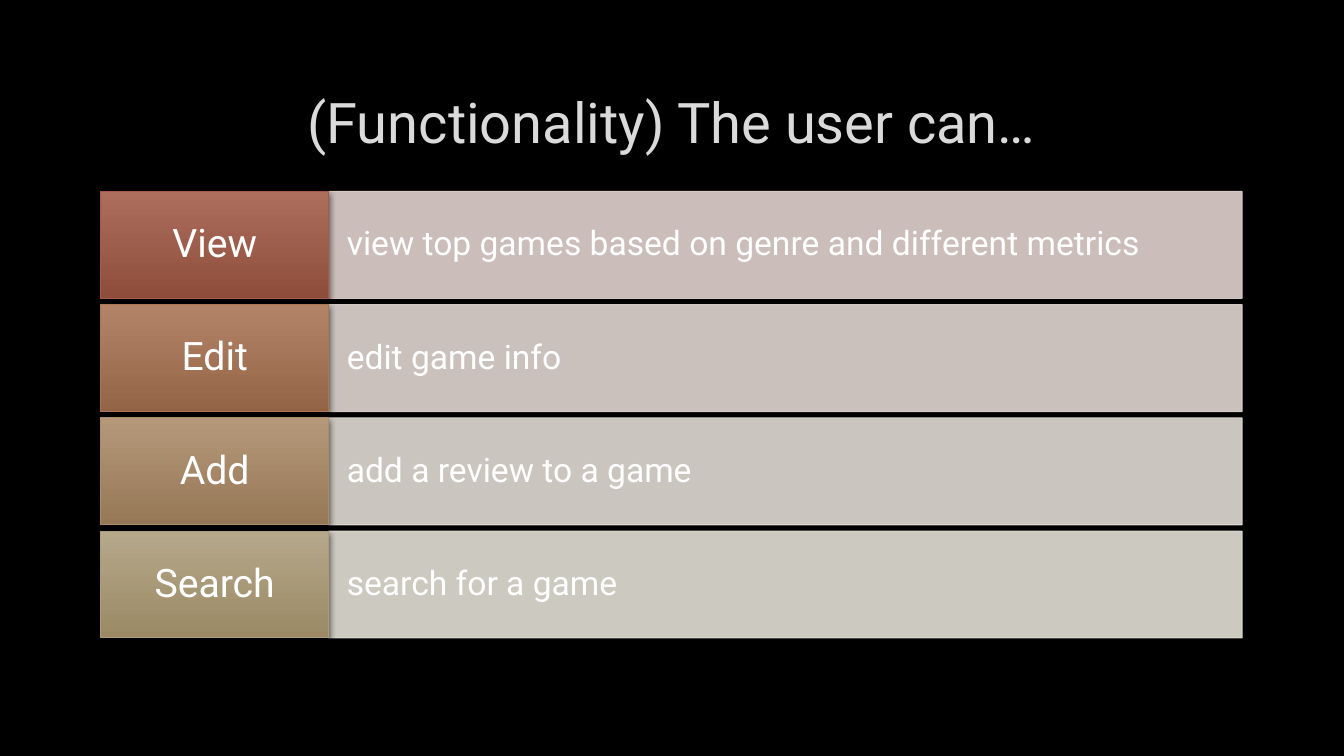
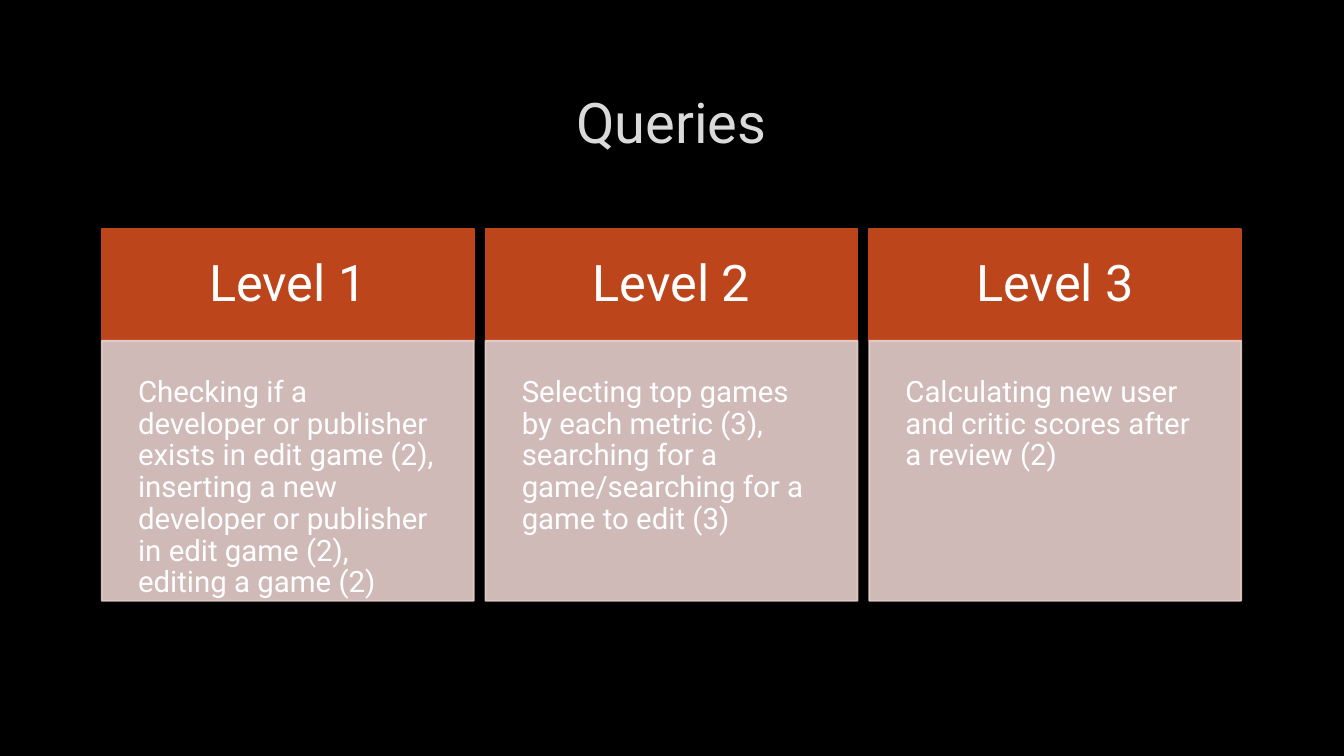
from pptx import Presentation
from pptx.dml.color import RGBColor
from pptx.enum.shapes import MSO_SHAPE
from pptx.enum.text import MSO_ANCHOR, PP_ALIGN
from pptx.oxml import parse_xml
from pptx.oxml.ns import nsdecls, qn
from pptx.util import Inches, Pt

BLACK = RGBColor(0x00, 0x00, 0x00)
WHITE = RGBColor(0xFF, 0xFF, 0xFF)
SILVER = RGBColor(0xDA, 0xDA, 0xDA)
RUST = RGBColor(0xBC, 0x45, 0x1B)
ROSE = RGBColor(0xE7, 0xCF, 0xCD)
FACE = "Roboto"

# label, text, band colour, gradient top, gradient bottom, label edge
ROWS = [
    ("View", "view top games based on genre and different metrics",
     RGBColor(0xE1, 0xD2, 0xCF), RGBColor(0xAD, 0x6E, 0x5E),
     RGBColor(0x8E, 0x4D, 0x3A), RGBColor(0xA5, 0x5A, 0x43)),
    ("Edit", "edit game info",
     RGBColor(0xE1, 0xD7, 0xD2), RGBColor(0xB4, 0x84, 0x69),
     RGBColor(0x94, 0x64, 0x46), RGBColor(0xAC, 0x74, 0x51)),
    ("Add", "add a review to a game",
     RGBColor(0xE2, 0xDB, 0xD4), RGBColor(0xB5, 0x98, 0x7A),
     RGBColor(0x96, 0x78, 0x56), RGBColor(0xAC, 0x8C, 0x66)),
    ("Search", "search for a game",
     RGBColor(0xE3, 0xDF, 0xD7), RGBColor(0xB6, 0xA8, 0x8B),
     RGBColor(0x9A, 0x89, 0x64), RGBColor(0xAD, 0x9D, 0x7B)),
]
LEVELS = [
    ("Level 1", "Checking if a developer or publisher exists in edit game (2), "
     "inserting a new developer or publisher in edit game (2), "
     "editing a game (2)"),
    ("Level 2", "Selecting top games by each metric (3), "
     "searching for a game/searching for a game to edit (3)"),
    ("Level 3", "Calculating new user and critic scores after a review (2)"),
]


def put(item, values):
    """Set each attribute named in values."""
    for name, value in values.items():
        setattr(item, name, value)


def steps(first, last, count):
    """Spread count starting points evenly from first to last."""
    return [first + (last - first) * i / (count - 1) for i in range(count)]


def set_base(deck):
    """Set the shared background and title place; return the layout."""
    fill = deck.slide_master.background.fill
    fill.solid()
    fill.fore_color.rgb = BLACK
    layout = deck.slide_layouts.get_by_name("Title Only")
    title = layout.placeholders[0]
    put(title, {"left": Inches(1), "top": Inches(0.67),
                "width": Inches(11.32), "height": Inches(1.06)})
    title.text_frame.vertical_anchor = MSO_ANCHOR.MIDDLE
    return layout


def add_page(deck, layout, text):
    slide = deck.slides.add_slide(layout)
    slide.shapes.title.text = text
    para = slide.shapes.title.text_frame.paragraphs[0]
    para.alignment = PP_ALIGN.CENTER
    put(para.font, {"name": FACE, "size": Pt(40)})
    para.font.color.rgb = SILVER
    return slide


def add_box(slide, place, color, edge):
    box = slide.shapes.add_shape(MSO_SHAPE.RECTANGLE, *map(Inches, place))
    box.shadow.inherit = False
    box.fill.solid()
    box.fill.fore_color.rgb = color
    box.line.color.rgb = color
    box.line.width = Pt(edge)
    return box


def write(box, text, size, sides, ends, align=PP_ALIGN.CENTER,
          anchor=MSO_ANCHOR.MIDDLE):
    frame = box.text_frame
    put(frame, {"word_wrap": True, "vertical_anchor": anchor,
                "margin_left": Inches(sides), "margin_right": Inches(sides),
                "margin_top": Inches(ends), "margin_bottom": Inches(ends)})
    para = frame.paragraphs[0]
    para.text = text
    put(para, {"alignment": align, "line_spacing": 0.9})
    put(para.font, {"name": FACE, "size": Pt(size)})
    para.font.color.rgb = WHITE


def fade(box):
    """Make fill and line 90% opaque."""
    for color in box._element.spPr.iter(qn("a:srgbClr")):
        color.append(parse_xml(f'<a:alpha {nsdecls("a")} val="90000"/>'))


def shade(box, top, base):
    """Give a downward gradient and a soft shadow."""
    box.fill.gradient()
    box.fill.gradient_angle = 270
    for stop, color, place in zip(box.fill.gradient_stops, (top, base), (0, 1)):
        stop.color.rgb = color
        stop.position = place
    box._element.spPr.find(qn("a:effectLst")).append(parse_xml(
        f'<a:outerShdw {nsdecls("a")} blurRad="{Pt(5)}" dist="{Pt(2)}" '
        'dir="5400000" rotWithShape="0"><a:srgbClr val="000000">'
        '<a:alpha val="60000"/></a:srgbClr></a:outerShdw>'))


def add_rows(slide):
    tops = steps(1.9, 5.27, len(ROWS))
    for y, (name, text, color, top, base, edge) in zip(tops, ROWS):
        band = add_box(slide, (3.26, y, 9.06, 1.06), color, 0.75)
        fade(band)
        write(band, text, 24, 0.18, 0.27, PP_ALIGN.LEFT)
        label = add_box(slide, (1, y, 2.26, 1.06), edge, 0.75)
        shade(label, top, base)
        write(label, name, 28, 0.12, 0.1)


def add_cards(slide):
    lefts = steps(1.01, 8.62, len(LEVELS))
    for x, (name, text) in zip(lefts, LEVELS):
        head = add_box(slide, (x, 2.27, 3.69, 1.11), RUST, 1.25)
        write(head, name, 36, 0.29, 0.29)
        body = add_box(slide, (x, 3.38, 3.69, 2.58), ROSE, 1.25)
        fade(body)
        write(body, text, 21, 0.36, 0.36, PP_ALIGN.LEFT, MSO_ANCHOR.TOP)


def main():
    deck = Presentation()
    put(deck, {"slide_width": Inches(13.33), "slide_height": Inches(7.5)})
    layout = set_base(deck)
    add_rows(add_page(deck, layout, "(Functionality) The user can…"))
    add_cards(add_page(deck, layout, "Queries"))
    deck.save("out.pptx")


if __name__ == "__main__":
    main()
